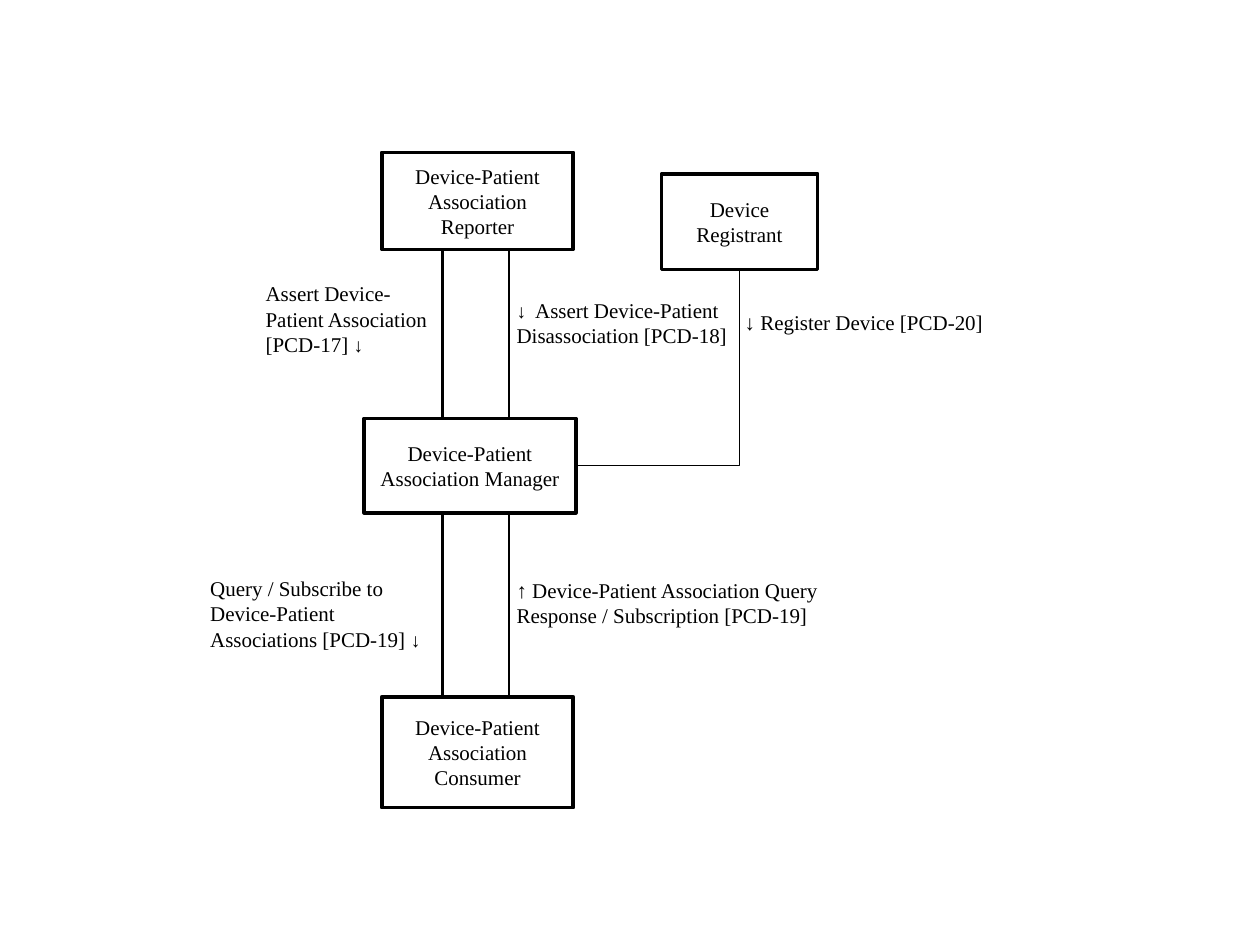
from dataclasses import dataclass

from lxml import etree
from pptx import Presentation
from pptx.dml.color import RGBColor
from pptx.enum.shapes import MSO_CONNECTOR, MSO_SHAPE
from pptx.enum.text import MSO_ANCHOR, PP_ALIGN
from pptx.oxml.ns import qn
from pptx.util import Inches, Pt

STRAIGHT, ELBOW = MSO_CONNECTOR.STRAIGHT, MSO_CONNECTOR.ELBOW
RECTANGLE = MSO_SHAPE.RECTANGLE
MIDDLE, TOP = MSO_ANCHOR.MIDDLE, MSO_ANCHOR.TOP
CENTER = PP_ALIGN.CENTER
BOTTOM_SIDE, RIGHT_SIDE = 2, 3
FONT = "Times New Roman"
BLACK, WHITE = "000000", "FFFFFF"
TEXT_SIZE, ARROW_SIZE = 12, 11


@dataclass
class Span:
    text: str
    size: float = TEXT_SIZE


@dataclass
class Actor:
    name: str
    left: float
    top: float
    width: float
    height: float


@dataclass
class Label:
    spans: list[Span]
    left: float
    top: float
    width: float
    height: float
    inset_x: float = 0
    inset_y: float = 0


REPORTER = Actor("Device-Patient Association Reporter", 3.03, 1.21, 1.52, 0.77)
CONSUMER = Actor("Device-Patient Association Consumer", 3.03, 5.53, 1.52, 0.88)
MANAGER = Actor("Device-Patient Association Manager", 2.89, 3.32, 1.68, 0.75)
REGISTRANT = Actor("Device Registrant", 5.25, 1.38, 1.24, 0.76)

LABELS = [
    Label([Span("↓ Register Device [PCD-20]")], 5.89, 2.44, 2.11, 0.56, 0.02, 0.02),
    Label([Span("Assert Device-Patient Association [PCD-17] "), Span("↓", ARROW_SIZE)],
          2.01, 2.18, 1.5, 0.83, 0.1, 0.05),
    Label([Span("↓ ", ARROW_SIZE), Span(" Assert Device-Patient Disassociation [PCD-18]")],
          4.1, 2.36, 1.82, 0.69),
    Label([Span("Query / Subscribe to Device-Patient Associations [PCD-19] "),
           Span("↓", ARROW_SIZE)],
          1.57, 4.52, 2.04, 0.93, 0.1, 0.05),
    Label([Span("↑ Device-Patient Association Query Response / Subscription [PCD-19]")],
          4.1, 4.58, 2.67, 0.66),
]
CHANNELS_X = (3.51, 4.04)
CHANNEL_TOP, CHANNEL_BOTTOM = 1.8, 5.71


def color(value: str) -> RGBColor:
    return RGBColor.from_string(value)


def add_span(para, span: Span) -> None:
    run = para.add_run()
    run.text = span.text
    run.font.name = FONT
    run.font.size = Pt(span.size)
    run.font.color.rgb = color(BLACK)


def draw_actor(page, actor: Actor):
    box = page.shapes.add_shape(RECTANGLE, Inches(actor.left), Inches(actor.top),
                                Inches(actor.width), Inches(actor.height))
    box.shadow.inherit = False
    box.fill.solid()
    box.fill.fore_color.rgb = color(WHITE)
    box.line.color.rgb = color(BLACK)
    box.line.width = Pt(2)
    frame = box.text_frame
    frame.word_wrap = True
    frame.vertical_anchor = MIDDLE
    para = frame.paragraphs[0]
    para.alignment = CENTER
    add_span(para, Span(actor.name))
    return box


def draw_label(page, label: Label) -> None:
    box = page.shapes.add_textbox(Inches(label.left), Inches(label.top),
                                  Inches(label.width), Inches(label.height))
    frame = box.text_frame
    frame.word_wrap = True
    frame.vertical_anchor = TOP
    frame.margin_left = frame.margin_right = Inches(label.inset_x)
    frame.margin_top = frame.margin_bottom = Inches(label.inset_y)
    para = frame.paragraphs[0]
    para.space_before = Pt(6)
    for span in label.spans:
        add_span(para, span)


def style_line(line, width: float) -> None:
    line.line.color.rgb = color(BLACK)
    line.line.width = Pt(width)
    etree.SubElement(line._element.spPr, qn("a:effectLst"))


def draw_channel(page, x: float) -> None:
    line = page.shapes.add_connector(STRAIGHT, Inches(x), Inches(CHANNEL_TOP),
                                     Inches(x), Inches(CHANNEL_BOTTOM))
    style_line(line, 1.5)


def draw_corner(page, start_box, end_box) -> None:
    """Run down from the first box, then left into the second: a quarter-turned bend."""
    line = page.shapes.add_connector(ELBOW, 0, 0, 0, 0)
    line.begin_connect(start_box, BOTTOM_SIDE)
    line.end_connect(end_box, RIGHT_SIDE)
    center_x = (line.begin_x + line.end_x) // 2
    center_y = (line.begin_y + line.end_y) // 2
    line.width, line.height = line.height, line.width
    line.left = center_x - line.width // 2
    line.top = center_y - line.height // 2
    properties = line._element.spPr
    transform = properties.find(qn("a:xfrm"))
    transform.attrib.clear()
    transform.set("rot", str(90 * 60000))
    properties.find(qn("a:prstGeom")).set("prst", "bentConnector2")
    style_line(line, 1)


def main() -> None:
    deck = Presentation()
    deck.slide_width, deck.slide_height = Inches(10), Inches(7.5)
    page = deck.slides.add_slide(deck.slide_layouts[6])
    for x in CHANNELS_X:
        draw_channel(page, x)
    for actor in (REPORTER, CONSUMER):
        draw_actor(page, actor)
    manager = draw_actor(page, MANAGER)
    registrant = draw_actor(page, REGISTRANT)
    for label in LABELS:
        draw_label(page, label)
    draw_corner(page, registrant, manager)
    deck.save("out.pptx")


if __name__ == "__main__":
    main()
